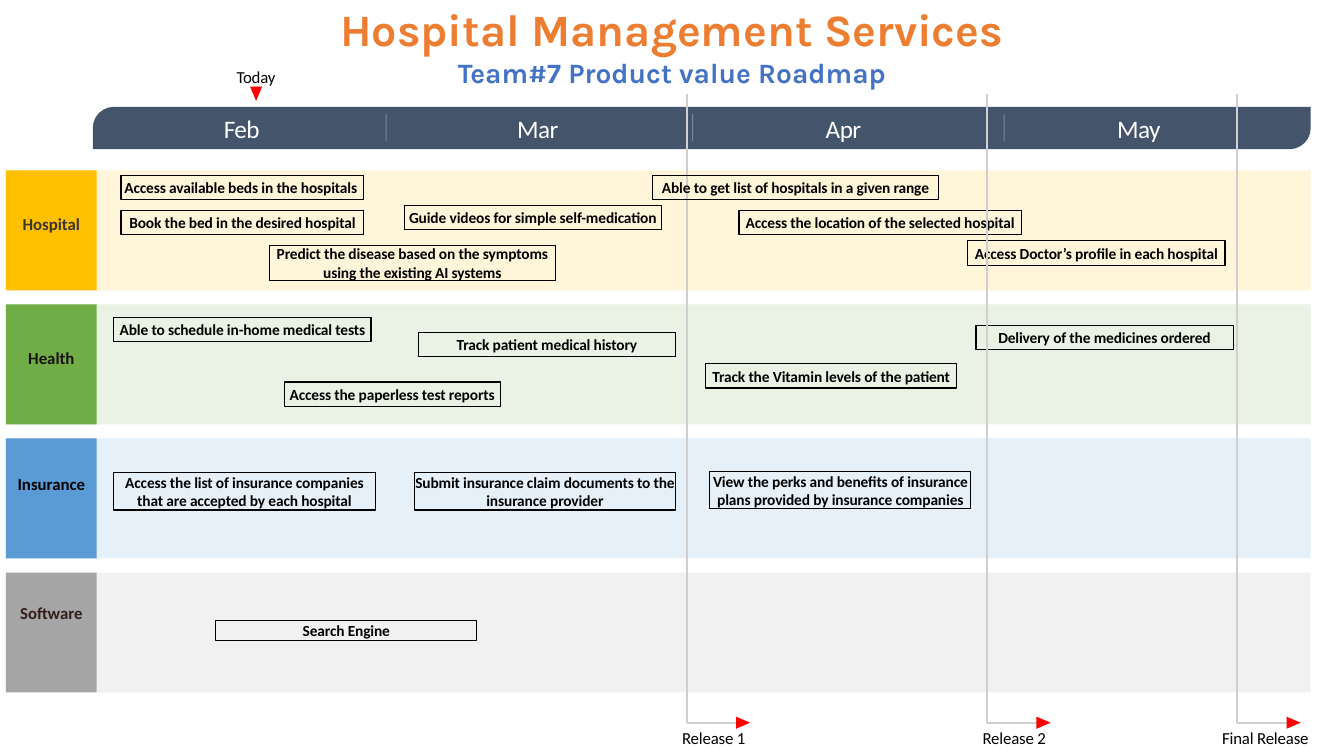
from dataclasses import dataclass
from pptx import Presentation
from pptx.dml.color import RGBColor
from pptx.enum.shapes import MSO_CONNECTOR, MSO_SHAPE
from pptx.enum.text import MSO_ANCHOR, MSO_AUTO_SIZE, PP_ALIGN
from pptx.oxml.ns import qn
from pptx.util import Inches, Pt
from lxml import etree

RECT, TRI, BAR = MSO_SHAPE.RECTANGLE, MSO_SHAPE.ISOSCELES_TRIANGLE, MSO_SHAPE.ROUND_2_DIAG_RECTANGLE
LINE, MID = MSO_CONNECTOR.STRAIGHT, MSO_ANCHOR.MIDDLE
LEFT, MIDDLE = PP_ALIGN.LEFT, PP_ALIGN.CENTER
GROW = MSO_AUTO_SIZE.SHAPE_TO_FIT_TEXT


@dataclass(frozen=True)
class Theme:
    body: str = "Calibri"
    head: str = "Karla"
    title: str = "ED7D31"
    team: str = "4472C4"
    bar: str = "44546A"
    rule: str = "D0CECE"
    mark: str = "FF0000"
    ink: str = "000000"
    white: str = "FFFFFF"
    title_size: int = 32
    team_size: int = 20
    month_size: int = 18
    label_size: int = 12
    card_size: int = 11


T = Theme()
TITLE = [("Hospital Management Services", T.title_size, T.title),
         ("Team#7 Product value Roadmap", T.team_size, T.team)]
MONTHS = [("Feb", 2.22), ("Mar", 5.13), ("Apr", 8.19), ("May", 11.08)]
TICKS = [3.83, 6.87, 9.96]
TODAY = ("Today", 2.54)
# name, line x, label centre x
RELEASES = [("Release 1", 6.81, 7.08), ("Release 2", 9.79, 10.06), ("Final Release", 12.27, 12.55)]

# name, fill, text colour, label drop, cards: (text, left, drop in lane, width, height)
ONE, TWO = 0.24, 0.37
LANES = [
    ("Hospital", "FFC000", "3C3631", 0.43, [
        ("Access available beds in the hospitals ", 1.2, 0.05, 2.41, ONE),
        ("Book the bed in the desired hospital", 1.2, 0.4, 2.41, ONE),
        ("Access the location of the selected hospital", 7.33, 0.4, 2.8, ONE),
        ("Able to get list of hospitals in a given range", 6.47, 0.05, 2.84, ONE),
        ("Predict the disease based on the symptoms using the existing AI systems",
         2.67, 0.75, 2.84, 0.34),
        ("Guide videos for simple self-medication", 4.01, 0.35, 2.55, ONE),
        ("Access Doctor’s profile in each hospital", 9.6, 0.7, 2.55, ONE)]),
    ("Health", "70AD47", "1B1013", 0.43, [
        ("Able to schedule in-home medical tests", 1.13, 0.13, 2.55, ONE),
        ("Access the paperless test reports", 2.82, 0.77, 2.14, ONE),
        ("Track the Vitamin levels of the patient", 7, 0.59, 2.49, ONE),
        ("Delivery of the medicines ordered", 9.68, 0.21, 2.55, ONE),
        ("Track patient medical history", 4.15, 0.28, 2.55, ONE)]),
    ("Insurance", "5B9BD5", "000000", 0.35, [
        ("Access the list of insurance companies that are accepted by each hospital",
         1.13, 0.34, 2.59, TWO),
        ("Submit insurance claim documents to the insurance provider", 4.11, 0.34, 2.59, TWO),
        ("View the perks and benefits of insurance plans provided by insurance companies",
         7.04, 0.33, 2.59, TWO)]),
    ("Software", "A5A5A5", "331E1C", 0.3, [
        ("Search Engine", 2.14, 0.48, 2.59, 0.19)]),
]
EDGE, WIDE, TAB = 0.06, 12.94, 0.9
LANE_TOP, LANE_STEP, LANE_TALL = 1.69, 1.33, 1.19
BAR_LEFT, BAR_TOP, BAR_TALL = 0.92, 1.06, 0.42
MONTH_WIDE = 0.6
RULE_TOP, RULE_END, ARM = 0.93, 7.17, 0.54

deck = Presentation()
deck.slide_width, deck.slide_height = Inches(13.33), Inches(7.5)
slide = deck.slides.add_slide(deck.slide_layouts[6])


def fade(fill, share):
    """Set the opacity, in percent, of a solid fill within the given element."""
    tint = fill.find(".//" + qn("a:srgbClr"))
    etree.SubElement(tint, qn("a:alpha")).set("val", str(share * 1000))


def block(kind, box, fill=None, line=None, clear=None):
    shape = slide.shapes.add_shape(kind, *map(Inches, box))
    shape.shadow.inherit = False
    if fill:
        shape.fill.solid()
        shape.fill.fore_color.rgb = RGBColor.from_string(fill)
        if clear:
            fade(shape._element.spPr, clear)
    else:
        shape.fill.background()
    if line:
        shape.line.color.rgb = RGBColor.from_string(line)
        shape.line.width = Pt(0.75)
    else:
        shape.line.fill.background()
    return shape


def stroke(x1, y1, x2, y2, color, width, clear=None):
    rule = slide.shapes.add_connector(LINE, *map(Inches, (x1, y1, x2, y2)))
    rule.line.color.rgb = RGBColor.from_string(color)
    rule.line.width = Pt(width)
    props = rule._element.spPr
    if clear:
        fade(props, clear)
    etree.SubElement(props, qn("a:effectLst"))


def style(para, text, size, color, font=T.body, bold=False, align=MIDDLE, gap=0):
    run = para.add_run()
    run.text = text
    para.alignment = align
    para.font.name, para.font.size, para.font.bold = font, Pt(size), bold
    para.font.color.rgb = RGBColor.from_string(color)
    if gap:
        run._r.get_or_add_rPr().set("spc", str(gap))


def write(shape, text, size, color, wrap=True, **look):
    frame = shape.text_frame
    frame.margin_left = frame.margin_right = frame.margin_top = frame.margin_bottom = 0
    frame.vertical_anchor, frame.word_wrap = MID, wrap
    style(frame.paragraphs[0], text, size, color, **look)


def label(box, *args, **look):
    write(slide.shapes.add_textbox(*map(Inches, box)), *args, **look)


def caption(text, mid, top, width):
    label((mid - width / 2, top, width, 0.2), text, T.label_size, T.ink, wrap=False, gap=-10)


def arrow(mid, centre, turn):
    block(TRI, (mid - 0.06, centre - 0.07, 0.12, 0.14), T.mark).rotation = turn


def release(name, x, mid):
    stroke(x, RULE_END, x + ARM, RULE_END, T.rule, 1.5)
    stroke(x, RULE_TOP, x, RULE_END, T.rule, 1.5)
    arrow(x + ARM + 0.02, RULE_END, 90)
    caption(name, mid, 7.22, 0.87 if len(name) > 9 else 0.64)


def header():
    box = slide.shapes.add_textbox(*map(Inches, (2.87, -0.04, 7.59, 0.98)))
    frame = box.text_frame
    frame.word_wrap, frame.vertical_anchor, frame.auto_size = True, MID, GROW
    for n, (text, size, color) in enumerate(TITLE):
        para = frame.add_paragraph() if n else frame.paragraphs[0]
        style(para, text, size, color, font=T.head, bold=True)


def calendar():
    bar = block(BAR, (BAR_LEFT, BAR_TOP, EDGE + WIDE - BAR_LEFT, BAR_TALL), T.bar)
    bar.adjustments[0], bar.adjustments[1] = 1, 0
    for name, x in MONTHS:
        label((x, 1.13, MONTH_WIDE, 0.28), name, T.month_size, T.white, align=LEFT, gap=-40)
    for x in TICKS:
        stroke(x, 1.13, x, 1.4, T.white, 0.75, clear=30)
    name, x = TODAY
    arrow(x, RULE_TOP, 180)
    caption(name, x, 0.66, 0.4)


def lane(top, name, fill, ink, drop):
    block(RECT, (EDGE, top, WIDE, LANE_TALL), fill, clear=15)
    block(RECT, (EDGE, top, TAB, LANE_TALL), fill)
    label((EDGE, top + drop, TAB, 0.2), name, T.label_size, ink, bold=True)


def main():
    tops = [LANE_TOP + LANE_STEP * n for n in range(len(LANES))]
    for top, (*look, _) in zip(tops, LANES):
        lane(top, *look)
    calendar()
    header()
    release(*RELEASES[0])
    for top, (*_, cards) in zip(tops, LANES):
        for text, x, drop, width, tall in cards:
            card = block(RECT, (x, top + drop, width, tall), line=T.ink)
            write(card, text, T.card_size, T.ink, bold=True, gap=-10)
    for item in RELEASES[1:]:
        release(*item)
    deck.save("out.pptx")


if __name__ == "__main__":
    main()
